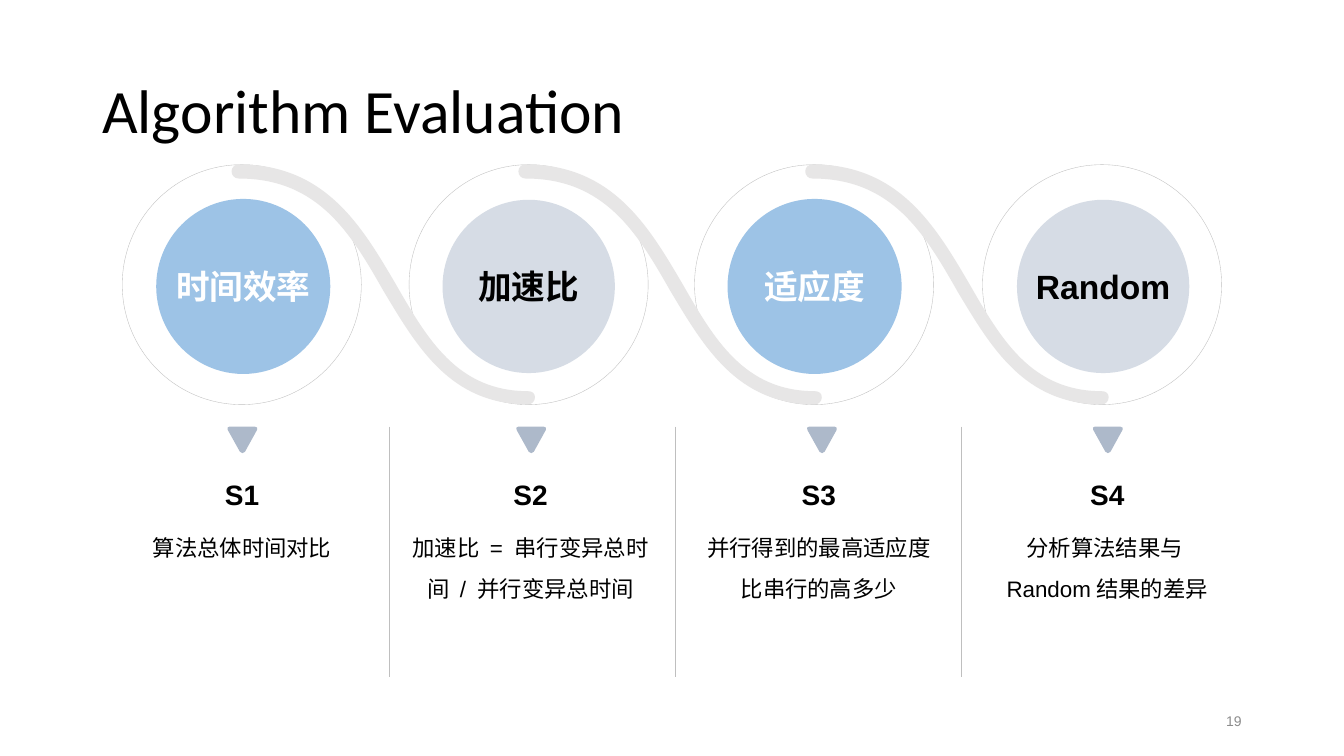
from pptx import Presentation
from pptx.dml.color import RGBColor
from pptx.enum import shapes, text
from pptx.oxml.ns import qn
from pptx.util import Pt

LEFT, CENTER, RIGHT = text.PP_ALIGN.LEFT, text.PP_ALIGN.CENTER, text.PP_ALIGN.RIGHT
TOP, MIDDLE, BOTTOM = (text.MSO_ANCHOR.TOP, text.MSO_ANCHOR.MIDDLE,
                       text.MSO_ANCHOR.BOTTOM)
rgb = RGBColor.from_string


def write(box, words, size, color="000000", bold=False, align=CENTER,
          anchor=MIDDLE, wrap=True, spacing=1.0, font="Arial"):
    """Put one formatted paragraph into a text box or shape."""
    frame = box.text_frame
    frame.word_wrap, frame.vertical_anchor = wrap, anchor
    para = frame.paragraphs[0]
    para.alignment, para.line_spacing = align, spacing
    span = para.add_run()
    span.text = words
    for name, value in {"name": font, "size": Pt(size), "bold": bold}.items():
        setattr(span.font, name, value)
    span.font.color.rgb = rgb(color)


def draw_curves(left, top, start, curves, color):
    """Fill an outline of cubic curves, each given as two controls and an end."""
    builder = page.shapes.build_freeform(Pt(left + start[0]), Pt(top + start[1]))
    builder.add_line_segments([(Pt(left + x), Pt(top + y))
                               for curve in curves for x, y in curve], close=True)
    shape = builder.convert_to_shape()
    shape.shadow.inherit = False
    shape.fill.solid()
    shape.fill.fore_color.rgb = rgb(color)
    shape.line.fill.background()
    # Merge every three straight segments into one cubic curve
    segments = list(shape._element.iter(qn("a:lnTo")))
    for first in range(0, len(segments), 3):
        cubic = segments[first].makeelement(qn("a:cubicBezTo"), {})
        segments[first].addprevious(cubic)
        for segment in segments[first:first + 3]:
            cubic.append(segment[0])
            segment.getparent().remove(segment)


deck = Presentation()
deck.slide_width, deck.slide_height = Pt(960), Pt(540)
page = deck.slides.add_slide(deck.slide_layouts[6])

title = page.shapes.add_textbox(Pt(66), Pt(28.8), Pt(828), Pt(104.4))
write(title, "Algorithm Evaluation", 44, align=LEFT, spacing=0.9, font="Calibri")
number = page.shapes.add_textbox(Pt(678), Pt(500.4), Pt(216), Pt(28.8))
write(number, "19", 10, "8C8C8C", align=RIGHT)

# Rounded triangle and S-shaped band, relative to their top left corners
triangle = [
    ((2, 0), (20, 0), (20, 0)),
    ((21.5, 0), (22.3, 1.2), (21.6, 2.4)),
    ((21.6, 2.4), (13, 18), (13, 18)),
    ((12.2, 19.3), (10.2, 19.3), (9.4, 18)),
    ((9.4, 18), (0.7, 2.4), (0.7, 2.4)),
    ((0, 1.2), (0.5, 0), (2, 0)),
]
band = [
    ((156.2, 171.4), (132.5, 130.3), (108.7, 90.7)),
    ((85, 49), (61.9, 10.1), (5, 10.1)),
    ((2.2, 10.1), (0, 7.9), (0, 5)),
    ((0, 2.2), (2.2, 0), (5, 0)),
    ((67, 0), (92.9, 43.9), (117.4, 85.7)),
    ((139.7, 124.6), (161.3, 162), (211.7, 162)),
    ((214.6, 162), (216.7, 163.4), (216.7, 166.3)),
    ((216.7, 169.2), (214.6, 171.4), (211.7, 171.4)),
]

# Ring left, disc left, arrow left, disc label, description
steps = [
    (87.3, 112.2, 162, "时间效率", "算法总体时间对比"),
    (292.2, 316.1, 368.3, "加速比", "加速比 = 串行变异总时间 / 并行变异总时间"),
    (496.1, 520.3, 576, "适应度", "并行得到的最高适应度比串行的高多少"),
    (701.8, 726.4, 780.2, "Random", "分析算法结果与Random结果的差异"),
]
for index, (ring_left, disc_left, arrow_left, label, description) in enumerate(steps):
    draw_curves(arrow_left, 304.7, (2, 0), triangle, "ADB9CA")

    ring = page.shapes.add_shape(shapes.MSO_SHAPE.OVAL, Pt(ring_left), Pt(117.6),
                                 Pt(170.8), Pt(171.4))
    ring.shadow.inherit = False
    ring.fill.background()
    ring.line.color.rgb = rgb("BFBFBF")
    ring.line.width = Pt(0.25)

    blue = index % 2 == 0
    disc = page.shapes.add_shape(shapes.MSO_SHAPE.OVAL, Pt(disc_left), Pt(142.7),
                                 Pt(123.1), Pt(123.8))
    disc.shadow.inherit = False
    disc.fill.solid()
    disc.fill.fore_color.rgb = rgb("9DC3E6" if blue else "D6DCE5")
    if blue:
        disc.line.color.rgb = rgb("9DC3E6")
        disc.line.width = Pt(1.25)
    else:
        disc.line.fill.background()
    write(disc, label, 24, "FFFFFF" if blue else "000000", bold=True, wrap=False)

    column_left = 79.7 + 206 * index
    heading = page.shapes.add_textbox(Pt(column_left), Pt(334.1), Pt(186.5), Pt(34.6))
    write(heading, f"S{index + 1}", 20, bold=True, anchor=BOTTOM, wrap=False)
    body = page.shapes.add_textbox(Pt(column_left), Pt(368.6), Pt(186.5), Pt(68.4))
    write(body, description, 16, anchor=TOP, spacing=1.5)

for gap in range(len(steps) - 1):
    draw_curves(165.4 + 204.9 * gap, 117.4, (211.7, 171.4), band, "E7E6E6")
    x = Pt(277.9 + 204.2 * gap)
    divider = page.shapes.add_connector(shapes.MSO_CONNECTOR.STRAIGHT,
                                        x, Pt(304.7), x, Pt(483.8))
    divider.line.color.rgb = rgb("BFBFBF")
    divider.line.width = Pt(0.25)
    properties = divider._element.spPr
    properties.append(properties.makeelement(qn("a:effectLst"), {}))

deck.save("out.pptx")
